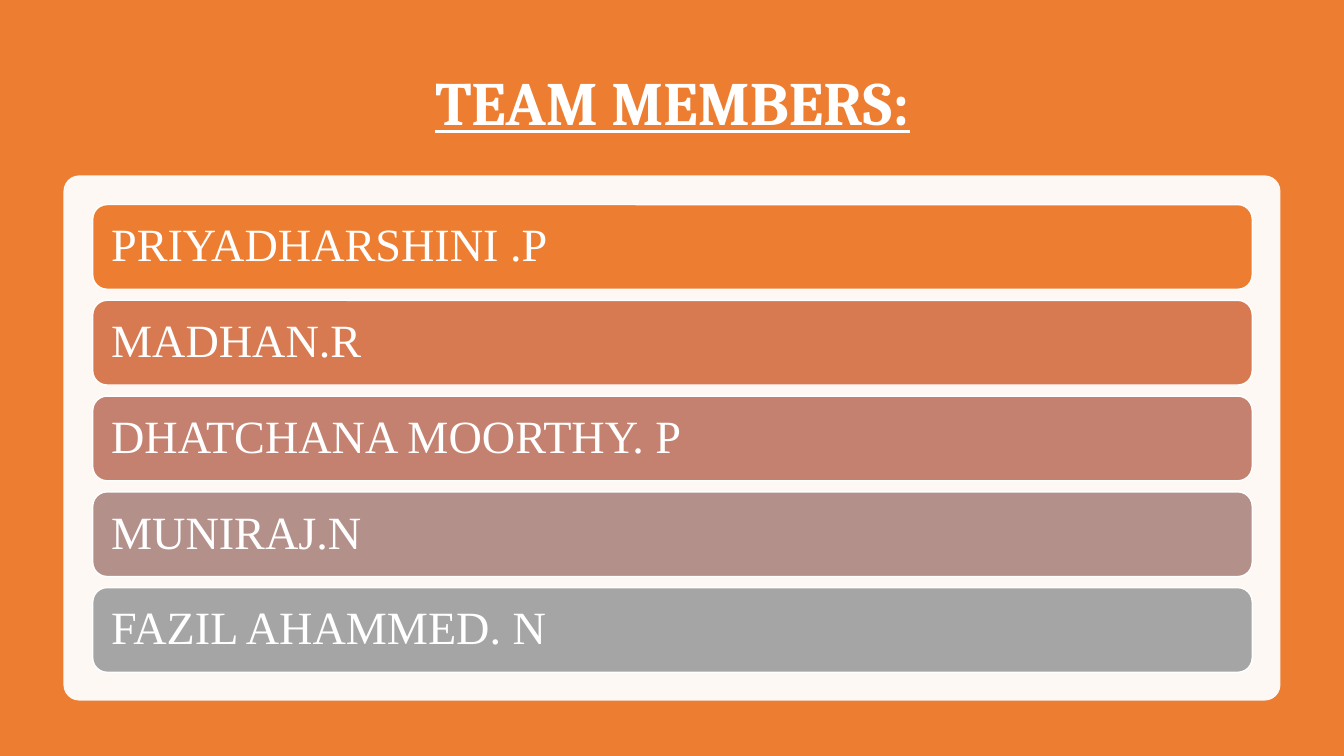
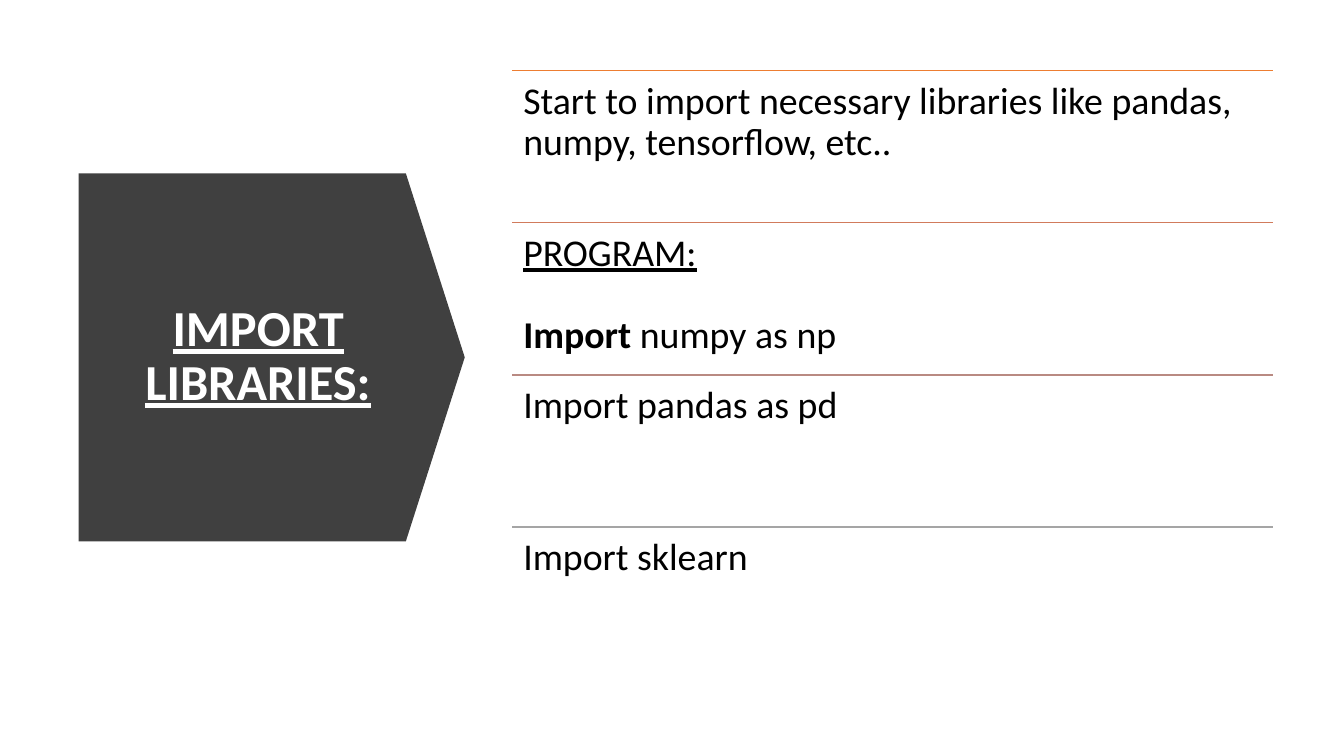
from lxml import etree
from pptx import Presentation
from pptx.dml.color import RGBColor
from pptx.enum.shapes import MSO_CONNECTOR, MSO_SHAPE
from pptx.enum.text import MSO_ANCHOR, PP_ALIGN
from pptx.oxml.ns import qn
from pptx.util import Inches, Pt

ROUND, ARROW = MSO_SHAPE.ROUNDED_RECTANGLE, MSO_SHAPE.PENTAGON
STRAIGHT = MSO_CONNECTOR.STRAIGHT
TOP, MIDDLE = MSO_ANCHOR.TOP, MSO_ANCHOR.MIDDLE
LEFT, CENTER = PP_ALIGN.LEFT, PP_ALIGN.CENTER

ORANGE = RGBColor(0xED, 0x7D, 0x31)
CORAL = RGBColor(0xD8, 0x7A, 0x51)
ROSE = RGBColor(0xC4, 0x81, 0x70)
MAUVE = RGBColor(0xB4, 0x90, 0x8B)
RUST = RGBColor(0xD1, 0x7B, 0x5C)
DUSK = RGBColor(0xB9, 0x8A, 0x82)
GRAY = RGBColor(0xA5, 0xA5, 0xA5)
DARK = RGBColor(0x40, 0x40, 0x40)
WHITE = RGBColor(0xFF, 0xFF, 0xFF)
BLACK = RGBColor(0, 0, 0)

TITLE = {"bold": True, "underline": True}
NAME = {"name": "Times New Roman", "size": Pt(33)}
BODY = {"name": "Calibri", "size": Pt(27)}

MEMBERS = [
    ("PRIYADHARSHINI .P", ORANGE),
    ("MADHAN.R", CORAL),
    ("DHATCHANA MOORTHY. P", ROSE),
    ("MUNIRAJ.N", MAUVE),
    ("FAZIL AHAMMED. N", GRAY),
]

# Each step: rule colour, then paragraphs made of (text, format) runs
STEPS = [
    (ORANGE, [[("Start to import necessary libraries like pandas, "
                "numpy, tensorflow, etc..", {})]]),
    (RUST, [[("PROGRAM:", {"underline": True})],
            [("Import ", {"bold": True}), ("numpy as np", {})]]),
    (DUSK, [[("Import pandas as pd", {})]]),
    (GRAY, [[("Import sklearn", {})]]),
]


def write(frame, paras, base, color, anchor, align, inset, gap=0):
    """Fill a text frame; inset is (side, top) in inches, gap in points."""
    frame.word_wrap = True
    frame.vertical_anchor = anchor
    side, top = map(Inches, inset)
    frame.margin_left = frame.margin_right = side
    frame.margin_top = frame.margin_bottom = top
    for i, runs in enumerate(paras):
        para = frame.add_paragraph() if i else frame.paragraphs[0]
        para.alignment = align
        para.line_spacing = 0.9
        para.space_before = Pt(gap if i else 0)
        for text, extra in runs:
            run = para.add_run()
            run.text = text
            for key, value in {**base, **extra}.items():
                setattr(run.font, key, value)
            run.font.color.rgb = color


def add_text(slide, box, *args, **kwargs):
    frame = slide.shapes.add_textbox(*map(Inches, box)).text_frame
    write(frame, *args, **kwargs)


def add_title(slide, text, box, font, size):
    add_text(slide, box, [[(text, {"name": font, "size": Pt(size)})]],
             TITLE, WHITE, MIDDLE, CENTER, (0.1, 0.05))


def add_block(slide, kind, box, fill, adj, line=None):
    shape = slide.shapes.add_shape(kind, *map(Inches, box))
    shape.shadow.inherit = False
    shape.adjustments[0] = adj
    shape.fill.solid()
    shape.fill.fore_color.rgb = fill
    if line is None:
        shape.line.fill.background()
    else:
        shape.line.color.rgb = line
        shape.line.width = Pt(1)
    return shape


def add_rule(slide, left, top, width, color):
    rule = slide.shapes.add_connector(
        STRAIGHT, *map(Inches, (left, top, left + width, top)))
    rule.line.color.rgb = color
    rule.line.width = Pt(1)
    etree.SubElement(rule.element.spPr, qn("a:effectLst"))


def set_alpha(shape, percent):
    color = shape.element.spPr.find(qn("a:solidFill"))[0]
    etree.SubElement(color, qn("a:alpha"), val=str(percent * 1000))


def team_slide(slide):
    slide.background.fill.solid()
    slide.background.fill.fore_color.rgb = ORANGE
    add_title(slide, "TEAM MEMBERS:", (0.92, 0.5, 11.5, 1.1), "Cambria", 44)
    panel = add_block(slide, ROUND, (0.63, 1.74, 12.07, 5.21), WHITE, 0.03)
    set_alpha(panel, 95)
    top, pitch = 2.03, 0.95
    for i, (name, fill) in enumerate(MEMBERS):
        box = (0.92, top + i * pitch, 11.5, 0.84)
        bar = add_block(slide, ROUND, box, fill, 0.17, WHITE)
        write(bar.text_frame, [[(name, {})]], NAME, WHITE,
              MIDDLE, LEFT, (0.14, 0.14))


def import_slide(slide):
    add_block(slide, ARROW, (0.78, 1.72, 3.83, 3.65), DARK, 0.16)
    add_title(slide, "IMPORT LIBRARIES:", (1.12, 2.15, 2.88, 2.79),
              "Calibri", 36)
    left, top, width, pitch = 5.08, 0.7, 7.55, 1.51
    for i, (color, paras) in enumerate(STEPS):
        y = top + i * pitch
        add_rule(slide, left, y, width, color)
        add_text(slide, (left, y, width, pitch), paras, BODY, BLACK,
                 TOP, LEFT, (0.11, 0.11), gap=29.5)


def main():
    deck = Presentation()
    deck.slide_width, deck.slide_height = Inches(13.33), Inches(7.5)
    blank = deck.slide_layouts[6]
    for build in (team_slide, import_slide):
        build(deck.slides.add_slide(blank))
    deck.save("out.pptx")


if __name__ == "__main__":
    main()
